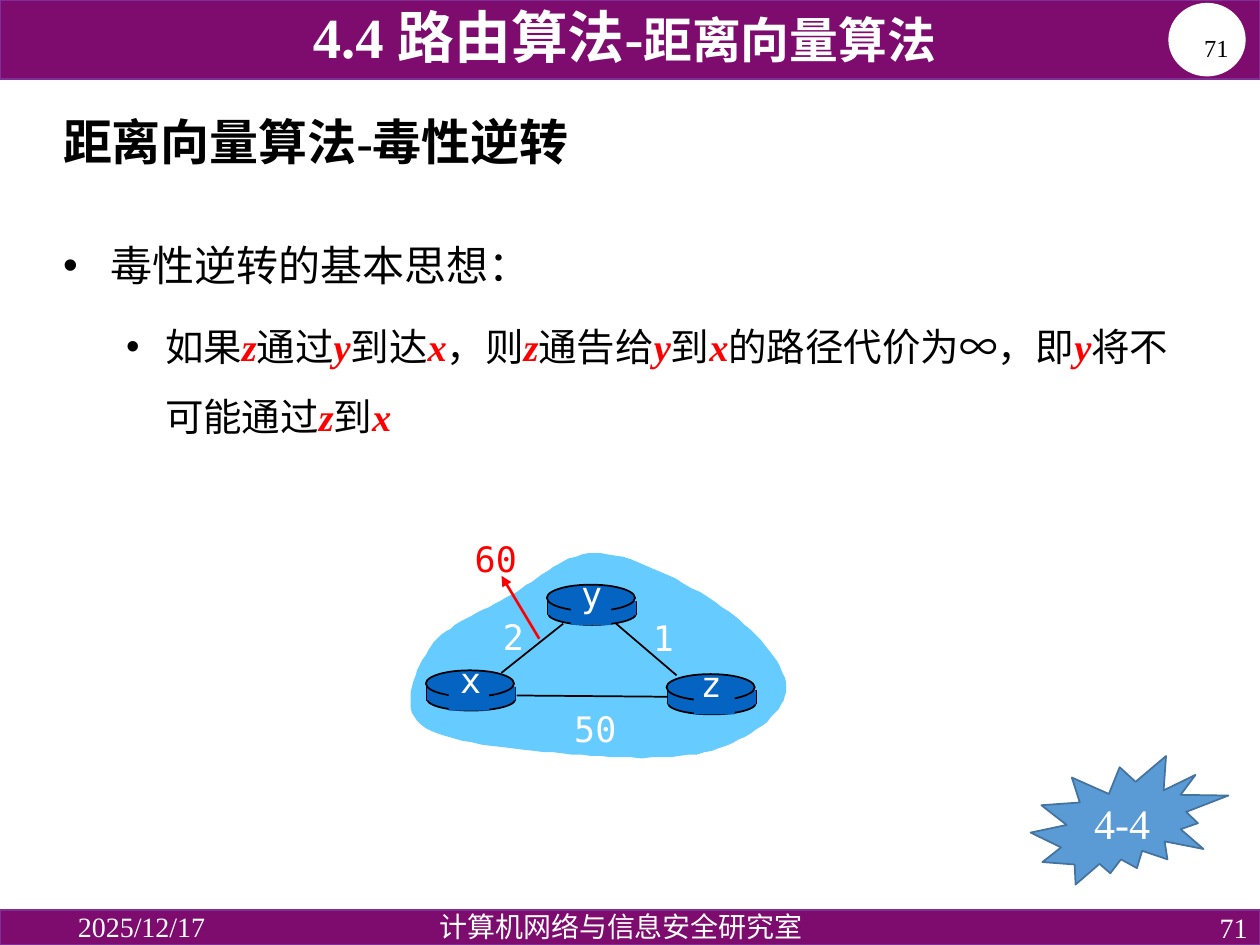
from pptx import Presentation
from pptx.dml.color import RGBColor
from pptx.enum.shapes import MSO_CONNECTOR as Connector, MSO_SHAPE as Shape
from pptx.enum.text import MSO_ANCHOR as Anchor, MSO_AUTO_SIZE as AutoSize, PP_ALIGN as Align
from pptx.oxml.ns import qn
from pptx.util import Emu, Pt
from lxml.etree import SubElement

EMU_PER_PX = 9144  # 100 px to the inch
SERIF, MONO, CJK = "Times New Roman", "DejaVu Sans Mono", "Noto Sans CJK SC"

WHITE = RGBColor(0xFF, 0xFF, 0xFF)
BLACK = RGBColor(0x00, 0x00, 0x00)
RED = RGBColor(0xFF, 0x00, 0x00)
PURPLE = RGBColor(0x7E, 0x0C, 0x6E)
PURPLE_EDGE = RGBColor(0x7F, 0x2F, 0x95)
CLOUD_BLUE = RGBColor(0x66, 0xCC, 0xFF)
ROUTER_BLUE = RGBColor(0x05, 0x63, 0xC1)
STAR_BLUE = RGBColor(0x5B, 0x9B, 0xD5)
STAR_EDGE = RGBColor(0x43, 0x73, 0x9E)

# Cloud outline: a start point, then two control points and an end per curve
CLOUD_START = (342, 513)
CLOUD_CURVES = [
    ((354, 496), (383, 485), (406, 472)),
    ((428, 460), (448, 437), (477, 439)),
    ((505, 441), (553, 467), (578, 485)),
    ((602, 503), (626, 530), (624, 549)),
    ((622, 567), (594, 587), (565, 596)),
    ((535, 604), (485, 602), (447, 598)),
    ((408, 595), (351, 589), (334, 575)),
    ((317, 561), (330, 530), (342, 513)),
]


def px(value):
    return Emu(round(value * EMU_PER_PX))


def add_span(para, text, size=16, color=BLACK, font=SERIF, bold=False, italic=False):
    span = para.add_run()
    span.text = text
    span.font.size = Pt(size)
    span.font.name = font
    span.font.color.rgb = color
    span.font.bold = bold
    span.font.italic = italic
    SubElement(span._r.get_or_add_rPr(), qn("a:ea"), typeface=CJK)


def add_marked(para, text, **style):
    """Text between asterisks becomes a red bold italic variable."""
    for index, part in enumerate(text.split("*")):
        if index % 2:
            add_span(para, part, color=RED, bold=True, italic=True, **style)
        elif part:
            add_span(para, part, **style)


def add_bullet(para, indent, hanging):
    props = para._p.get_or_add_pPr()
    props.set("marL", str(px(indent)))
    props.set("indent", str(-px(hanging)))
    SubElement(props, qn("a:buFont"), typeface="Arial")
    SubElement(props, qn("a:buChar"), char="•")


def curve_points(start, curves, steps=16):
    points = [start]
    for first, second, end in curves:
        begin = points[-1]
        for step in range(1, steps + 1):
            t = step / steps
            u = 1 - t
            points.append(tuple(
                u**3 * a + 3 * u * u * t * b + 3 * u * t * t * c + t**3 * d
                for a, b, c, d in zip(begin, first, second, end)))
    return points


class SlideBuilder:
    def __init__(self, deck):
        self.page = deck.slides.add_slide(deck.slide_layouts[1])
        self.shapes = self.page.shapes

    def paint(self, shape, fill, edge=None):
        shape.shadow.inherit = False
        shape.fill.solid()
        shape.fill.fore_color.rgb = fill
        if edge is None:
            shape.line.fill.background()
        else:
            shape.line.color.rgb = edge
            shape.line.width = Pt(1)
        return shape

    def preset(self, kind, left, top, width, height, fill, edge=None):
        shape = self.shapes.add_shape(kind, px(left), px(top), px(width), px(height))
        return self.paint(shape, fill, edge)

    def outline(self, points, fill):
        builder = self.shapes.build_freeform(*points[0], scale=EMU_PER_PX)
        builder.add_line_segments(points[1:], close=True)
        return self.paint(builder.convert_to_shape(), fill)

    def line(self, start, end, color=BLACK, width=1, arrow=False):
        link = self.shapes.add_connector(
            Connector.STRAIGHT, *(px(value) for value in (*start, *end)))
        link.line.color.rgb = color
        link.line.width = Pt(width)
        if arrow:
            SubElement(link.line._get_or_add_ln(), qn("a:tailEnd"), type="triangle")
        SubElement(link._element.spPr, qn("a:effectLst"))

    def text(self, left, top, width, height, text, align=Align.LEFT,
             anchor=Anchor.TOP, spacing=1.0, wrap=True, **style):
        box = self.shapes.add_textbox(px(left), px(top), px(width), px(height))
        frame = box.text_frame
        frame.word_wrap = wrap
        frame.vertical_anchor = anchor
        para = frame.paragraphs[0]
        para.alignment = align
        para.line_spacing = spacing
        add_span(para, text, **style)
        return para

    def placeholder(self, index, left, top, width, height, anchor):
        box = self.page.placeholders[index]
        box.left, box.top, box.width, box.height = map(px, (left, top, width, height))
        frame = box.text_frame
        frame.auto_size = AutoSize.NONE
        frame.word_wrap = True
        frame.vertical_anchor = anchor
        return frame

    def label(self, left, top, text, color=WHITE, width=45):
        self.text(left, top, width, 64, text, align=Align.CENTER, spacing=1.2,
                  wrap=False, size=20, color=color, font=MONO)

    def router(self, left, top, name, gap):
        self.preset(Shape.OVAL, left + 1, top + 14, 70, 18, ROUTER_BLUE, BLACK)
        for side in (left + 1, left + 71):
            self.line((side, top + 13), (side, top + 24))
        self.preset(Shape.RECTANGLE, left + 1, top + 13, 70, 11, ROUTER_BLUE)
        self.preset(Shape.OVAL, left, top, 70, 21, ROUTER_BLUE, BLACK)
        self.preset(Shape.RECTANGLE, left + gap, top + 3, 32, 29, ROUTER_BLUE)
        self.label(left + 13, top - 21, name)


def main():
    deck = Presentation()
    deck.slide_width, deck.slide_height = px(1000), px(750)
    slide = SlideBuilder(deck)

    # Header and footer bands
    slide.preset(Shape.RECTANGLE, 0, 0, 1000, 63, PURPLE, PURPLE_EDGE)
    slide.preset(Shape.OVAL, 928, 3, 60, 57, WHITE, WHITE)
    slide.preset(Shape.RECTANGLE, 0, 722, 1000, 28, PURPLE, PURPLE_EDGE)
    slide.text(52, 722, 225, 26, "2025/12/17", anchor=Anchor.MIDDLE, color=WHITE)
    slide.text(775, 722, 225, 28, "71", align=Align.RIGHT, anchor=Anchor.MIDDLE, color=WHITE)
    slide.text(269, 720, 448, 28, "计算机网络与信息安全研究室", align=Align.CENTER,
               spacing=0.9, color=WHITE)
    slide.text(752, 21, 233, 52, "71", align=Align.RIGHT, size=14)
    heading = slide.text(109, 4, 773, 56, "4.4 路由算法-", align=Align.CENTER,
                         anchor=Anchor.BOTTOM, spacing=0.8, size=32.4, color=WHITE, bold=True)
    add_span(heading, "距离向量算法", size=27.9, color=WHITE, bold=True)

    # Title
    title = slide.placeholder(0, 40, 67, 924, 95, Anchor.MIDDLE).paragraphs[0]
    title.alignment = Align.LEFT
    title.line_spacing = 0.9
    add_span(title, "距离向量算法-毒性逆转", size=28, bold=True)

    # Body list
    body = slide.placeholder(1, 40, 165, 910, 191, Anchor.TOP)
    idea, rule = body.paragraphs[0], body.add_paragraph()
    rule.level = 1
    for para, before, indent, hanging in ((idea, 0, 38, 38), (rule, 6, 81, 31)):
        para.line_spacing = 1.5
        para.space_before = Pt(before)
        add_bullet(para, indent, hanging)
    add_span(idea, "毒性逆转的基本思想：", size=24)
    add_marked(rule, "如果*z*通过*y*到达*x*，则*z*通告给*y*到*x*的路径代价为", size=22)
    add_span(rule, "∞", size=22, font=CJK)
    add_marked(rule, "，即*y*将不可能通过*z*到*x*", size=22)

    # Network: cloud, links, routers and costs
    slide.outline(curve_points(CLOUD_START, CLOUD_CURVES), CLOUD_BLUE)
    for start, end in (((398, 534), (447, 495)), ((489, 495), (537, 536)),
                       ((410, 552), (532, 553))):
        slide.line(start, end)
    for left, top, name, gap in ((338, 532, "x", 18), (529, 535, "z", 22),
                                 (434, 464, "y", 19)):
        slide.router(left, top, name, gap)
    slide.label(504, 478, "1")
    slide.label(385, 477, "2")
    slide.label(439, 550, "50", width=67)
    slide.label(360, 415, "60", color=RED, width=67)
    slide.line((428, 507), (398, 457), color=RED, width=1.5, arrow=True)

    # Section star
    star = slide.preset(Shape.EXPLOSION2, 818, 600, 157, 102, STAR_BLUE, STAR_EDGE)
    star.text_frame.vertical_anchor = Anchor.MIDDLE
    star_para = star.text_frame.paragraphs[0]
    star_para.alignment = Align.CENTER
    add_span(star_para, "4-4", size=24, color=WHITE)

    deck.save("out.pptx")


if __name__ == "__main__":
    main()
